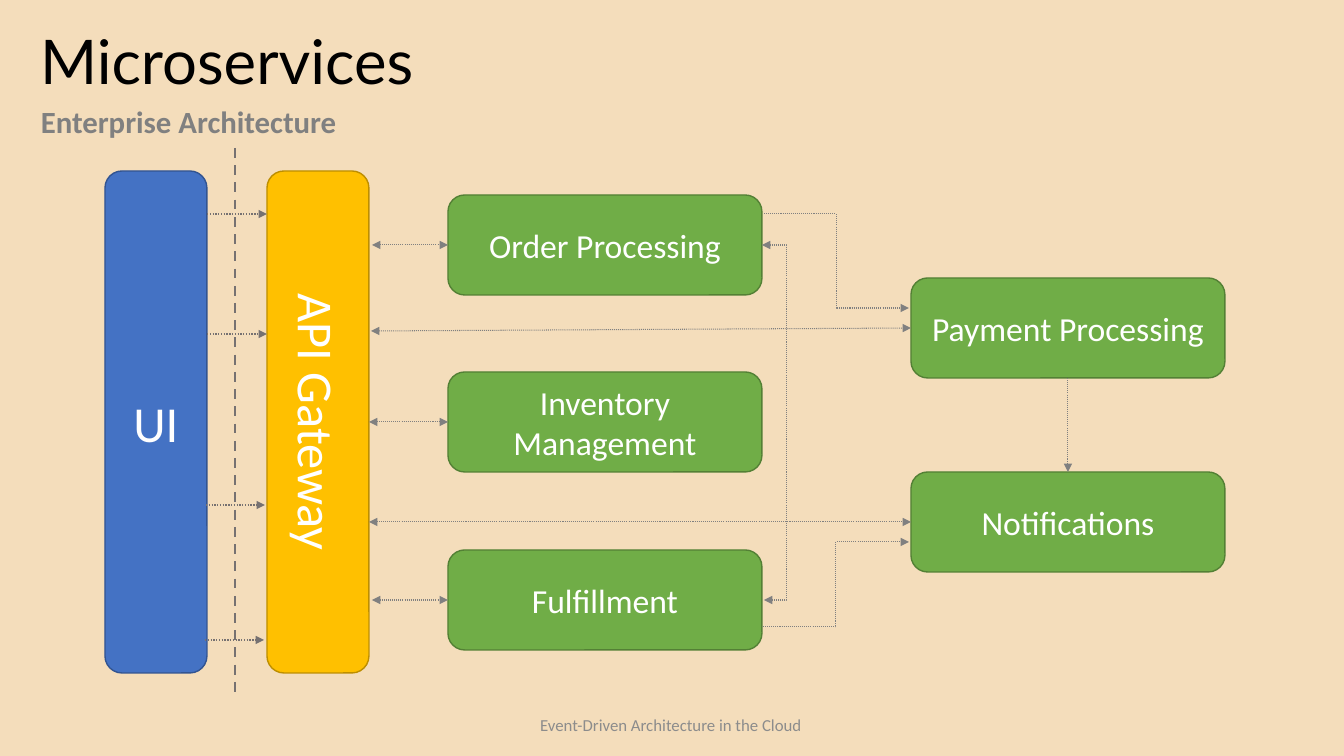
from lxml.etree import SubElement
from pptx import Presentation
from pptx.dml.color import RGBColor
from pptx.enum.dml import MSO_LINE
from pptx.enum.shapes import MSO_CONNECTOR, MSO_SHAPE
from pptx.enum.text import MSO_ANCHOR, MSO_AUTO_SIZE, PP_ALIGN
from pptx.oxml.ns import qn
from pptx.util import Pt

PX = 914400 / 100.8
TOP, LEFT, BOTTOM, RIGHT = range(4)


class Theme:
    background = "F4DDBB"
    title = "000000"
    subtitle = "808080"
    footer = "8C8C8C"
    label = "FFFFFF"
    blue = ("4472C4", "325491")
    gold = ("FFC000", "BD8E00")
    green = ("70AD47", "538035")
    request = "767171"
    message = "808080"
    heading_font = "Lato"
    body_font = "Calibri"
    title_size = 44
    column_size = 36
    service_size = 24
    subtitle_size = 22
    footer_size = 12


def write_text(shape, text, size, color, font=Theme.body_font, bold=False,
               align=PP_ALIGN.LEFT, anchor=MSO_ANCHOR.MIDDLE, spacing=None, wrap=True):
    frame = shape.text_frame
    frame.auto_size = MSO_AUTO_SIZE.NONE
    frame.word_wrap = wrap
    frame.vertical_anchor = anchor
    frame.text = text
    paragraph = frame.paragraphs[0]
    paragraph.alignment = align
    paragraph.line_spacing = spacing
    paragraph.font.name = font
    paragraph.font.size = Pt(size)
    paragraph.font.bold = bold
    paragraph.font.color.rgb = RGBColor.from_string(color)


def draw_connector(start, end, color=Theme.message, width=0.75, dash=MSO_LINE.ROUND_DOT,
                   arrows=("tailEnd",), kind=MSO_CONNECTOR.STRAIGHT):
    connector = slide.shapes.add_connector(kind, *[round(value * PX) for value in (*start, *end)])
    connector.line.color.rgb = RGBColor.from_string(color)
    connector.line.width = Pt(width)
    connector.line.dash_style = dash
    properties = connector.element.spPr
    for arrow in arrows:
        SubElement(properties.find(qn("a:ln")), qn(f"a:{arrow}"), type="triangle")
    SubElement(properties, qn("a:effectLst"))
    return connector


presentation = Presentation()
presentation.slide_width = round(1344 * PX)
presentation.slide_height = round(756 * PX)
slide = presentation.slides.add_slide(presentation.slide_layouts[5])
slide.background.fill.solid()
slide.background.fill.fore_color.rgb = RGBColor.from_string(Theme.background)

title = slide.shapes.title
title.left, title.top, title.width, title.height = [round(value * PX) for value in (30, 24, 1282, 81)]
write_text(title, "Microservices", Theme.title_size, Theme.title,
           font=Theme.heading_font, spacing=0.9)

subtitle = slide.shapes.add_textbox(*[round(value * PX) for value in (31, 105, 1282, 40)])
write_text(subtitle, "Enterprise Architecture", Theme.subtitle_size, Theme.subtitle,
           bold=True, spacing=0.8)

footer = slide.shapes.add_textbox(*[round(value * PX) for value in (529, 710, 284, 30)])
write_text(footer, "Event-Driven Architecture in the Cloud", Theme.footer_size, Theme.footer,
           align=PP_ALIGN.CENTER, anchor=MSO_ANCHOR.TOP, wrap=False)

column = (102, 502, Theme.column_size)
service = (314, 100, Theme.service_size)
blocks = {}
for name, left, top, (width, height, size), (fill, outline) in [
    ("UI", 105, 171, column, Theme.blue),
    ("API Gateway", 267, 171, column, Theme.gold),
    ("Order Processing", 448, 195, service, Theme.green),
    ("Inventory Management", 448, 372, service, Theme.green),
    ("Fulfillment", 448, 550, service, Theme.green),
    ("Payment Processing", 911, 278, service, Theme.green),
    ("Notifications", 911, 472, service, Theme.green),
]:
    block = slide.shapes.add_shape(
        MSO_SHAPE.ROUNDED_RECTANGLE, *[round(value * PX) for value in (left, top, width, height)])
    block.shadow.inherit = False
    block.fill.solid()
    block.fill.fore_color.rgb = RGBColor.from_string(fill)
    block.line.color.rgb = RGBColor.from_string(outline)
    block.line.width = Pt(1)
    write_text(block, name, size, Theme.label, align=PP_ALIGN.CENTER)
    blocks[name] = block

gateway = blocks["API Gateway"]
gateway.element.txBody.find(qn("a:bodyPr")).set("vert", "vert")

draw_connector((235, 148), (235, 696), color=Theme.request, width=1.75,
               dash=MSO_LINE.DASH, arrows=())

for left, right, y in [(207, 267, 214), (207, 267, 334), (206, 265, 505), (205, 264, 640)]:
    draw_connector((left, y), (right, y), color=Theme.request, width=1)

both_ends = ("headEnd", "tailEnd")
for name, start, end in [
    ("Order Processing", (372, 245), (448, 245)),
    ("Inventory Management", (369, 422), (448, 422)),
    ("Fulfillment", (372, 600), (448, 600)),
    ("Payment Processing", (371, 331), (911, 328)),
    ("Notifications", (369, 522), (911, 522)),
]:
    link = draw_connector(start, end, arrows=both_ends)
    link.end_connect(blocks[name], LEFT)
    if name == "Inventory Management":
        link.begin_connect(gateway, RIGHT)

notice = draw_connector((1068, 378), (1068, 472))
notice.begin_connect(blocks["Payment Processing"], BOTTOM)
notice.end_connect(blocks["Notifications"], TOP)

for start, end, bend_x, arrows in [
    ((762, 245), (764, 600), 787, both_ends),
    ((764, 214), (909, 308), 836, ("tailEnd",)),
    ((763, 627), (909, 542), 836, ("tailEnd",)),
]:
    elbow = draw_connector(start, end, arrows=arrows, kind=MSO_CONNECTOR.ELBOW)
    bend = round((bend_x - start[0]) / (end[0] - start[0]) * 100000)
    geometry = elbow.element.spPr.find(qn("a:prstGeom"))
    SubElement(geometry.find(qn("a:avLst")), qn("a:gd"), name="adj1", fmla=f"val {bend}")

presentation.save("out.pptx")
